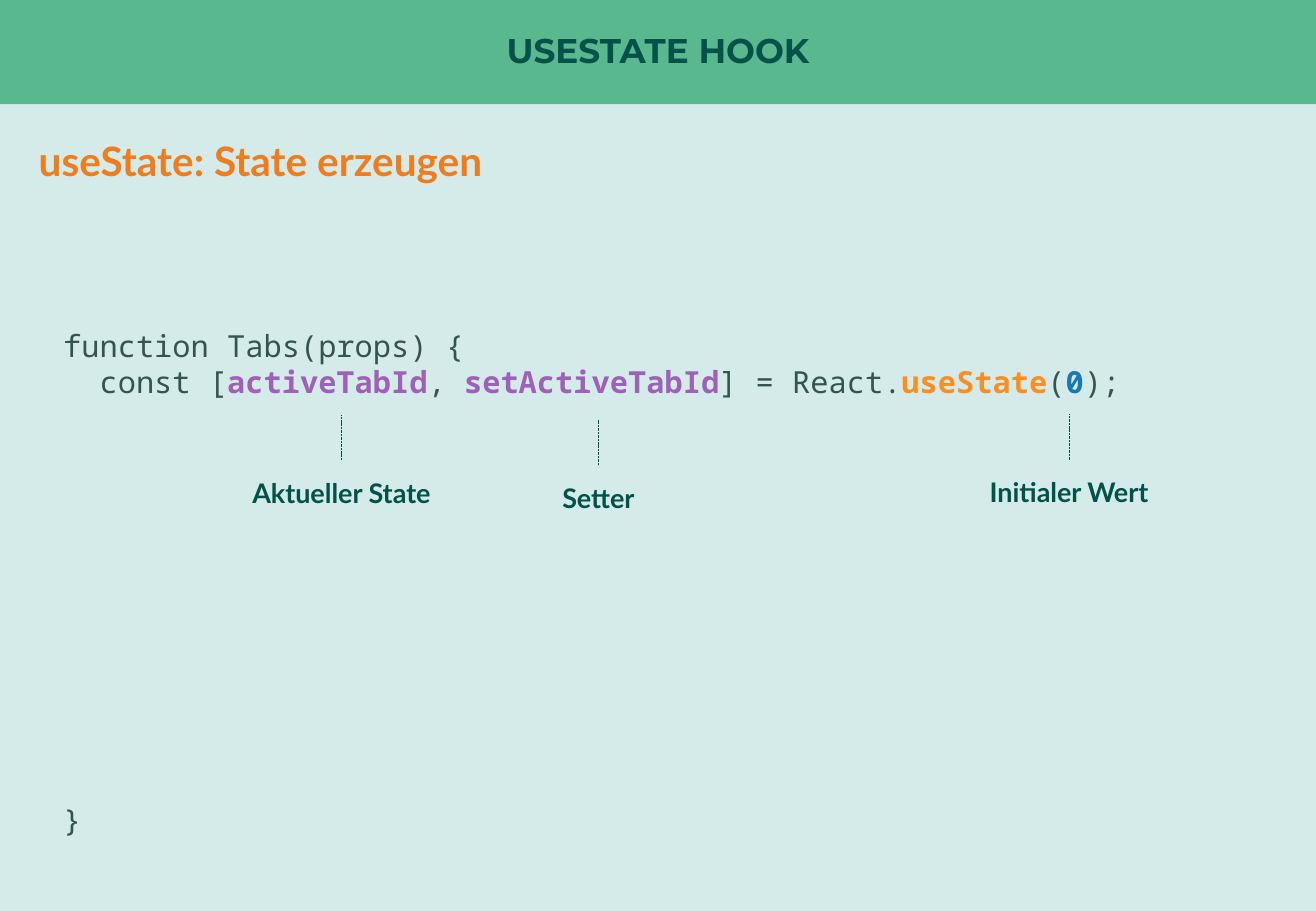
"""Build the slide that explains the parts of a useState call."""
from lxml import etree
from pptx import Presentation
from pptx import util as u
from pptx.dml.color import RGBColor
from pptx.enum import dml, shapes, text
from pptx.oxml import ns

WIDTH, HEIGHT, BAND_HEIGHT = 27.51, 19.05, 2.18
MINT = RGBColor(0xD4, 0xEB, 0xE9)
GREEN = RGBColor(0x5A, 0xB8, 0x8F)
DARK_GREEN = RGBColor(0x02, 0x52, 0x49)
ORANGE = RGBColor(0xEF, 0x7D, 0x1D)
CODE_GREY = RGBColor(0x36, 0x54, 0x4F)
CODE_PURPLE = RGBColor(0x9E, 0x60, 0xB8)
CODE_ORANGE = RGBColor(0xFB, 0x8E, 0x20)
CODE_BLUE = RGBColor(0x17, 0x78, 0xB8)

CODE_LINES = [
    [("function Tabs(props) {", None)],
    [("  const [", None), ("activeTabId", CODE_PURPLE), (", ", None),
     ("setActiveTabId", CODE_PURPLE), ("] = React.", None),
     ("useState", CODE_ORANGE), ("(", None), ("0", CODE_BLUE), (");", None)],
    [("}", None)],
]
BODY_GAP = 238
ANNOTATIONS = [
    ("Initialer Wert", 22.35, 8.66),
    ("Setter", 12.51, 8.78),
    ("Aktueller State", 7.14, 8.68),
]


def add_span(para, content, font="Lato", size=16, color=DARK_GREEN, bold=True):
    span = para.add_run()
    span.text = content
    span.font.name = font
    span.font.size = u.Pt(size)
    span.font.color.rgb = color
    span.font.bold = bold


class Page:
    def __init__(self, deck):
        self.page = deck.slides.add_slide(deck.slide_layouts[6])
        self.page.background.fill.solid()
        self.page.background.fill.fore_color.rgb = MINT

    def band(self, title):
        band = self.page.shapes.add_shape(
            shapes.MSO_SHAPE.RECTANGLE, 0, 0, u.Cm(WIDTH), u.Cm(BAND_HEIGHT))
        band.shadow.inherit = False
        band.fill.solid()
        band.fill.fore_color.rgb = GREEN
        band.line.fill.background()
        frame = band.text_frame
        frame.margin_left = frame.margin_right = 0
        frame.margin_top = frame.margin_bottom = 0
        frame.vertical_anchor = text.MSO_ANCHOR.MIDDLE
        para = frame.paragraphs[0]
        para.alignment = text.PP_ALIGN.CENTER
        para.line_spacing = 0.9
        add_span(para, title, font="Montserrat", size=20.3)

    def box(self, left, top, width, height):
        box = self.page.shapes.add_textbox(
            u.Cm(left), u.Cm(top), u.Cm(width), u.Cm(height))
        box.text_frame.word_wrap = True
        return box.text_frame

    def heading(self, content):
        para = self.box(0.56, 2.84, 26.39, 1.3).paragraphs[0]
        para.line_spacing = 0.9
        add_span(para, content, size=24, color=ORANGE)

    def code(self, lines):
        frame = self.box(1.07, 6.71, 25.37, 11.79)
        for index, line in enumerate(lines):
            para = frame.add_paragraph() if index else frame.paragraphs[0]
            for content, accent in line:
                add_span(para, content, font="Noto Sans Mono", size=18,
                         color=accent or CODE_GREY, bold=accent is not None)
        frame.paragraphs[-1].space_before = u.Pt(BODY_GAP)

    def annotation(self, content, center, top):
        width = 8.13
        para = self.box(center - width / 2, top + 1.16, width, 0.94).paragraphs[0]
        para.alignment = text.PP_ALIGN.CENTER
        add_span(para, content)
        pointer = self.page.shapes.add_connector(
            shapes.MSO_CONNECTOR.STRAIGHT,
            u.Cm(center), u.Cm(top + 0.95), u.Cm(center), u.Cm(top))
        pointer.line.color.rgb = DARK_GREEN
        pointer.line.width = u.Pt(0.5)
        pointer.line.dash_style = dml.MSO_LINE.SQUARE_DOT
        etree.SubElement(pointer.element.spPr, ns.qn("a:effectLst"))


def main():
    deck = Presentation()
    deck.slide_width, deck.slide_height = u.Cm(WIDTH), u.Cm(HEIGHT)
    page = Page(deck)
    page.band("USESTATE HOOK")
    page.heading("useState: State erzeugen")
    page.code(CODE_LINES)
    for annotation in ANNOTATIONS:
        page.annotation(*annotation)
    deck.save("out.pptx")


if __name__ == "__main__":
    main()
